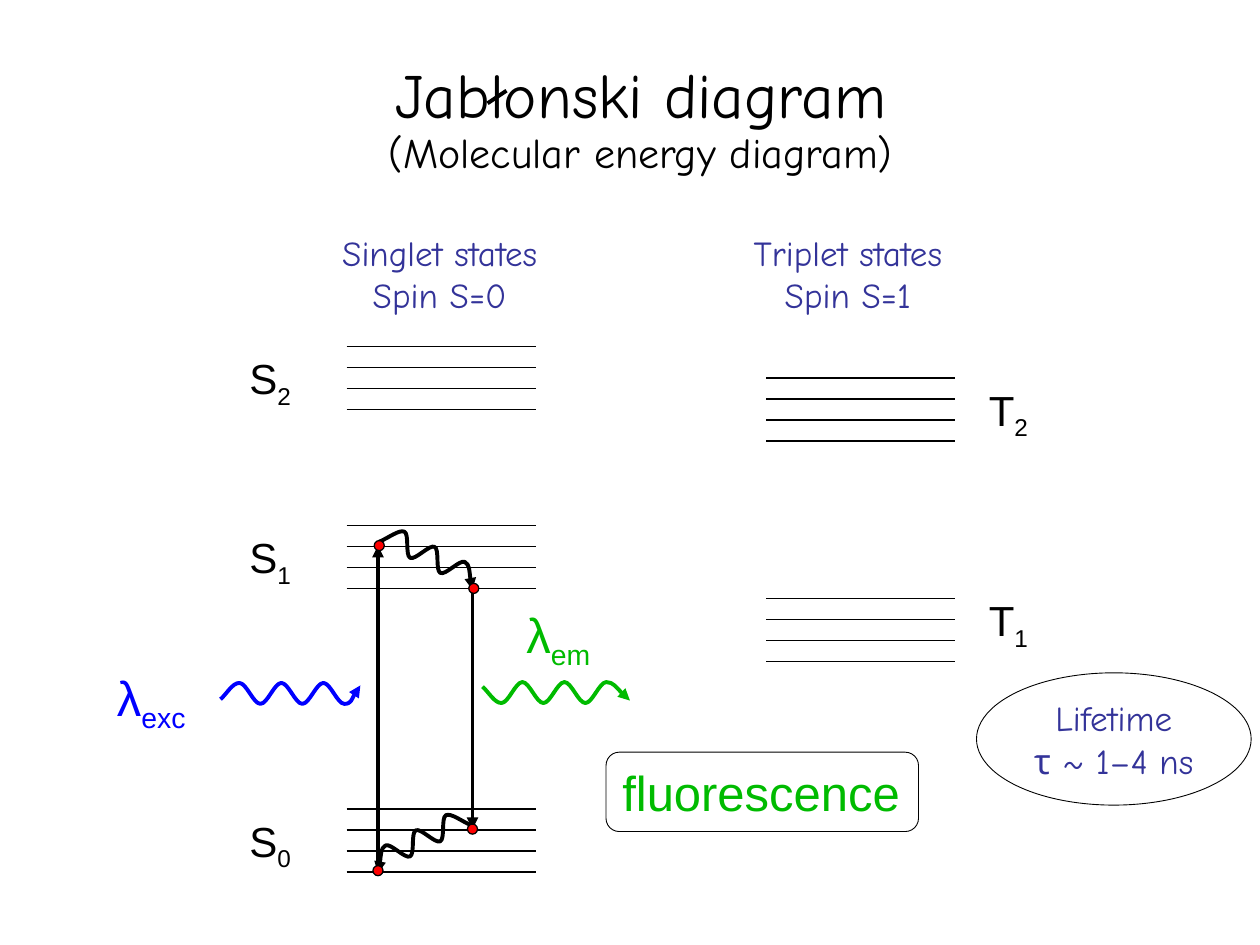
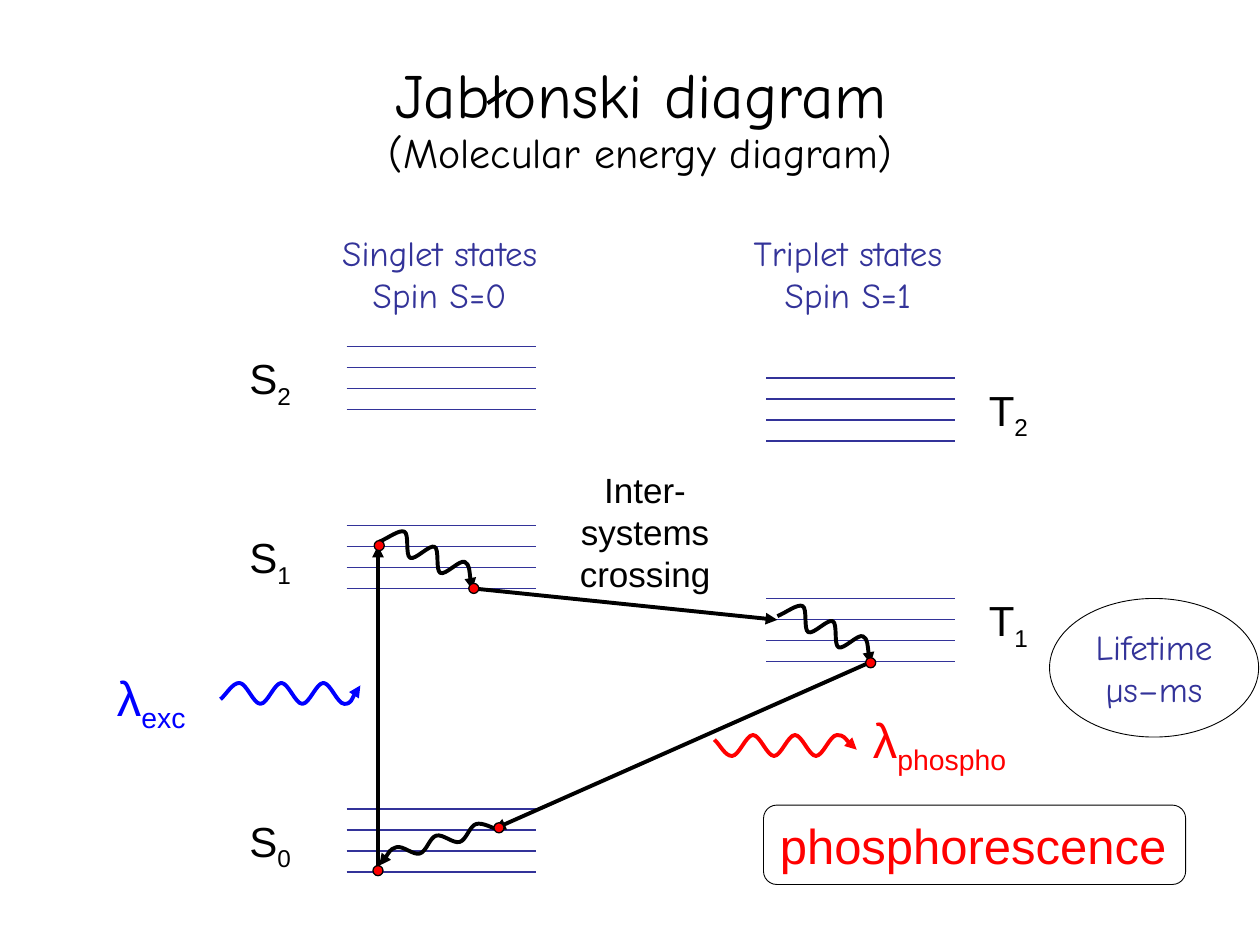
from math import cos, sin, radians
from lxml.etree import SubElement
from pptx import Presentation
from pptx.dml.color import RGBColor as Rgb
from pptx.enum.shapes import MSO_CONNECTOR as Link, MSO_SHAPE as Kind
from pptx.enum.text import MSO_ANCHOR as Anchor, MSO_AUTO_SIZE as Fit, PP_ALIGN as Align
from pptx.oxml.ns import qn
from pptx.util import Inches, Pt

BLACK = Rgb(0, 0, 0)
NAVY = Rgb(0x33, 0x33, 0x99)
BLUE = Rgb(0, 0, 0xFF)
GREEN = Rgb(0, 0xBB, 0)
RED = Rgb(0xFF, 0, 0)
HAND = "Comic Neue"
SANS = "Arial"
STROKE = 2.25
GAP = 1 / 6


def write(frame, lines, size, font, color, align=Align.LEFT, wrap=False):
    """Fill a text frame with one paragraph per line."""
    frame.word_wrap = wrap
    frame.auto_size = Fit.SHAPE_TO_FIT_TEXT
    frame.text = "\n".join(lines)
    for para in frame.paragraphs:
        para.alignment = align
        para.font.size = Pt(size)
        para.font.name = font
        para.font.color.rgb = color
    return frame


def text(slide, box, *style):
    """Add a text box."""
    shape = slide.shapes.add_textbox(*map(Inches, box))
    return write(shape.text_frame, *style)


def label(slide, box, sign, sub, size=24, color=BLACK):
    """Add a symbol with a subscript."""
    para = text(slide, box, [sign], size, SANS, color).paragraphs[0]
    run = para.add_run()
    run.text = sub
    run._r.get_or_add_rPr().set("baseline", "-25000")


def pen(shape, color, width, tip=False):
    """Set the line of a shape, with an arrowhead if wanted."""
    shape.line.color.rgb = color
    shape.line.width = Pt(width)
    if tip:
        SubElement(shape._element.spPr.find(qn("a:ln")), qn("a:tailEnd"), type="triangle")


def line(slide, start, end, color=BLACK, width=STROKE, tip=False):
    """Add a straight line."""
    link = slide.shapes.add_connector(Link.STRAIGHT, *map(Inches, start + end))
    pen(link, color, width, tip)
    SubElement(link._element.spPr, qn("a:effectLst"))


def shape(slide, kind, box, width):
    """Add an unfilled preset shape with a black outline."""
    item = slide.shapes.add_shape(kind, *map(Inches, box))
    item.shadow.inherit = False
    item.fill.background()
    pen(item, BLACK, width)
    item.text_frame.vertical_anchor = Anchor.MIDDLE
    return item


def dot(slide, x, y):
    """Add a red electron with its centre at x, y."""
    item = shape(slide, Kind.OVAL, (x - 0.04, y - 0.04, 0.08, 0.08), 0.75)
    item.fill.solid()
    item.fill.fore_color.rgb = RED


def plaque(slide, box, word, color):
    """Add a rounded frame around the name of the process."""
    item = shape(slide, Kind.ROUNDED_RECTANGLE, box, 0.5)
    write(item.text_frame, [word], 28, SANS, color)


def oval(slide, box, lines, wrap):
    """Add the lifetime ellipse."""
    item = shape(slide, Kind.OVAL, box, 0.5)
    write(item.text_frame, lines, 20, HAND, NAVY, Align.CENTER, wrap)


def wave(slide, start, crest, end, color, count=6, step=GAP, height=GAP, tilt=0):
    """Add a wavy arrow whose crests advance by step along the tilt."""
    ax, ay = cos(radians(tilt)), sin(radians(tilt))
    knots = [start]
    for i in range(count):
        rise = height * (i % 2)
        knots.append((crest[0] + i * step * ax - rise * ay,
                      crest[1] + i * step * ay + rise * ax))
    knots.append(end)
    dx, dy = ax * step / 3, ay * step / 3
    points = []
    for i, ((x, y), (u, v)) in enumerate(zip(knots, knots[1:])):
        out = (x + dx, y + dy) if i else (x + (u - x) / 3, y + (v - y) / 3)
        back = (u - dx, v - dy) if i < count else (u - (u - x) / 3, v - (v - y) / 3)
        points += [out, back, (u, v)]
    build = slide.shapes.build_freeform(*map(Inches, start))
    build.add_line_segments([(Inches(x), Inches(y)) for x, y in points], close=False)
    item = build.convert_to_shape()
    item.shadow.inherit = False
    item.fill.background()
    pen(item, color, STROKE, True)
    bend(item)


def bend(item):
    """Turn each three straight segments into one Bezier curve."""
    route = next(item._element.iter(qn("a:path")))
    parts = route.findall(qn("a:lnTo"))
    for i in range(0, len(parts), 3):
        curve = SubElement(route, qn("a:cubicBezTo"))
        for part in parts[i:i + 3]:
            curve.append(part[0])
            route.remove(part)


def relax(slide, x, y, way=1):
    """Add a wavy drop to a lower level, to the right or the left."""
    tilt = 26.6 if way > 0 else 153.4
    wave(slide, (x, y), (x + 0.2 * way, y - 0.08), (x + 0.74 * way, y + 0.38),
         BLACK, 5, 0.134, 0.165 * way, tilt)


def base(deck, color):
    """Add a slide with the title, the levels and the excitation."""
    slide = deck.slides.add_slide(deck.slide_layouts[6])
    title = text(slide, (0.92, 0.46, 8.33, 1.05),
                 ["Jablonski diagram", "(Molecular energy diagram)"],
                 36, HAND, BLACK, Align.CENTER, True)
    title.paragraphs[1].font.size = Pt(24)
    for para in title.paragraphs:
        para.line_spacing = 0.9
    line(slide, (4.02, 0.72), (3.87, 0.82))
    heads = ((2.5, 1.98, "Singlet states", "Spin S=0"),
             (5.75, 1.96, "Triplet states", "Spin S=1"))
    for x, width, *lines in heads:
        text(slide, (x, 1.79, width, 0.8), lines, 20, HAND, NAVY, Align.CENTER)
    states = (("S", "0", 6.42, 6.42), ("S", "1", 4.17, 4.17), ("S", "2", 2.75, 2.75),
              ("T", "1", 4.75, 4.67), ("T", "2", 3, 3))
    for sign, sub, top, y in states:
        left, x, width = (2.75, 1.88, 0.55) if sign == "S" else (6.08, 7.75, 0.53)
        for i in range(4):
            row = top + i * GAP
            line(slide, (left, row), (left + 1.5, row), color, 1)
        label(slide, (x, y, width, 0.5), sign, sub)
    line(slide, (3, 6.92), (3, 4.33), tip=True)
    relax(slide, 3.01, 4.3)
    wave(slide, (1.75, 5.55), (1.9, 5.42), (2.86, 5.44), BLUE)
    label(slide, (0.83, 5.25, 0.83, 0.57), "λ", "exc", 28, BLUE)
    return slide


def dots(slide, *more):
    """Add the shared electrons and those of this process."""
    for x, y in ((3, 6.91), (3.01, 4.33), (3.76, 4.67)) + more:
        dot(slide, x, y)


def glow(deck):
    """Build the fluorescence slide."""
    slide = base(deck, BLACK)
    line(slide, (3.75, 4.67), (3.75, 6.58), tip=True)
    relax(slide, 3.74, 6.55, -1)
    wave(slide, (3.83, 5.45), (3.98, 5.58), (5, 5.56), GREEN, height=-GAP)
    label(slide, (4.08, 4.75, 0.78, 0.57), "λ", "em", 28, GREEN)
    dots(slide, (3.75, 6.58))
    plaque(slide, (4.81, 5.97, 2.48, 0.63), "fluorescence", GREEN)
    oval(slide, (7.75, 5.34, 2.18, 1.05), ["Lifetime", "τ ~ 1–4 ns"], True)


def linger(deck):
    """Build the phosphorescence slide."""
    slide = base(deck, NAVY)
    line(slide, (3.75, 4.67), (6.17, 4.92), tip=True)
    relax(slide, 6.17, 4.89)
    line(slide, (6.92, 5.25), (3.92, 6.58), tip=True)
    wave(slide, (3.97, 6.59), (3.78, 6.54), (3.01, 6.87), BLACK, 5, 0.165, -0.1, 163.8)
    wave(slide, (5.67, 5.87), (5.81, 6), (6.8, 5.95), RED, height=-GAP)
    label(slide, (6.83, 5.58, 1.43, 0.57), "λ", "phospho", 28, RED)
    dots(slide, (6.91, 5.26), (3.96, 6.57))
    plaque(slide, (6.06, 6.39, 3.35, 0.63), "phosphorescence", RED)
    text(slide, (4.5, 3.67, 1.24, 1.1), ["Inter-", "systems", "crossing"],
         20, SANS, BLACK, Align.CENTER)
    oval(slide, (8.33, 4.75, 1.66, 1.1), ["Lifetime", "µs–ms"], False)


def main():
    """Build and save the deck."""
    deck = Presentation()
    deck.slide_width, deck.slide_height = Inches(10), Inches(7.5)
    glow(deck)
    linger(deck)
    deck.save("out.pptx")


if __name__ == "__main__":
    main()
